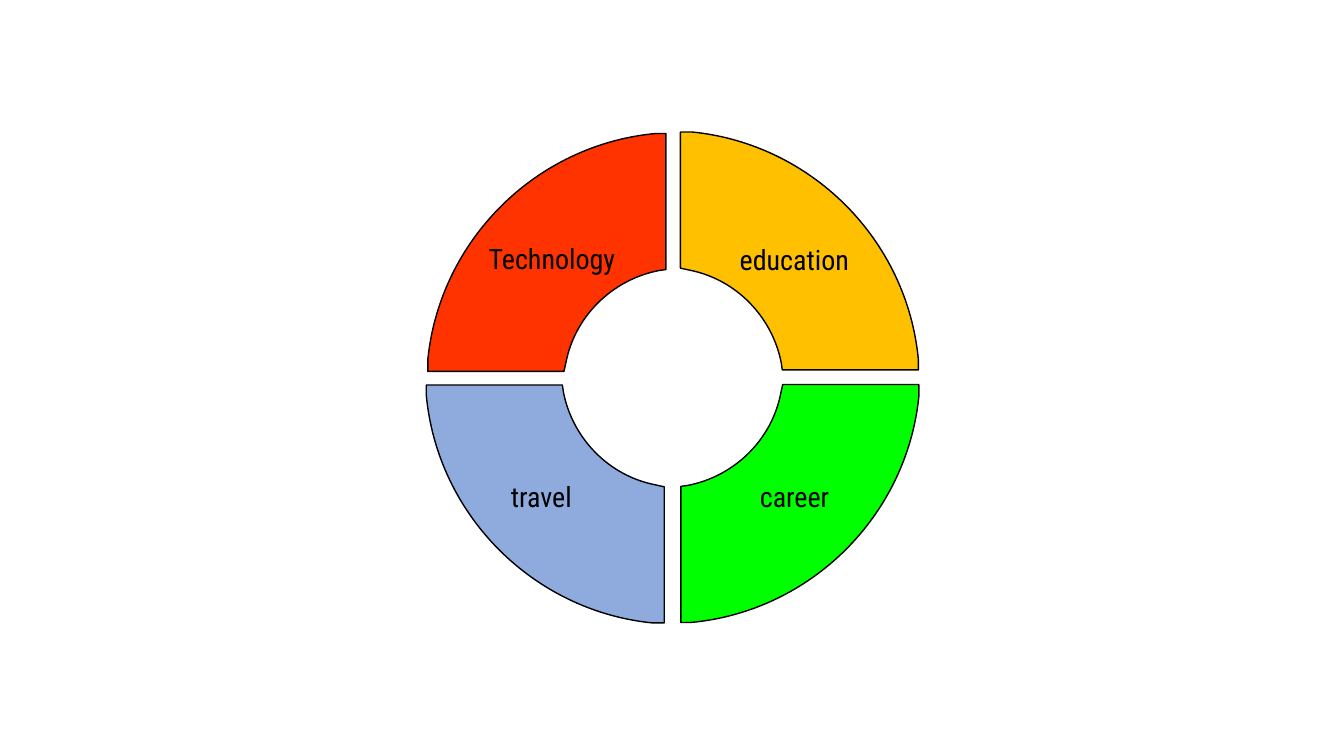
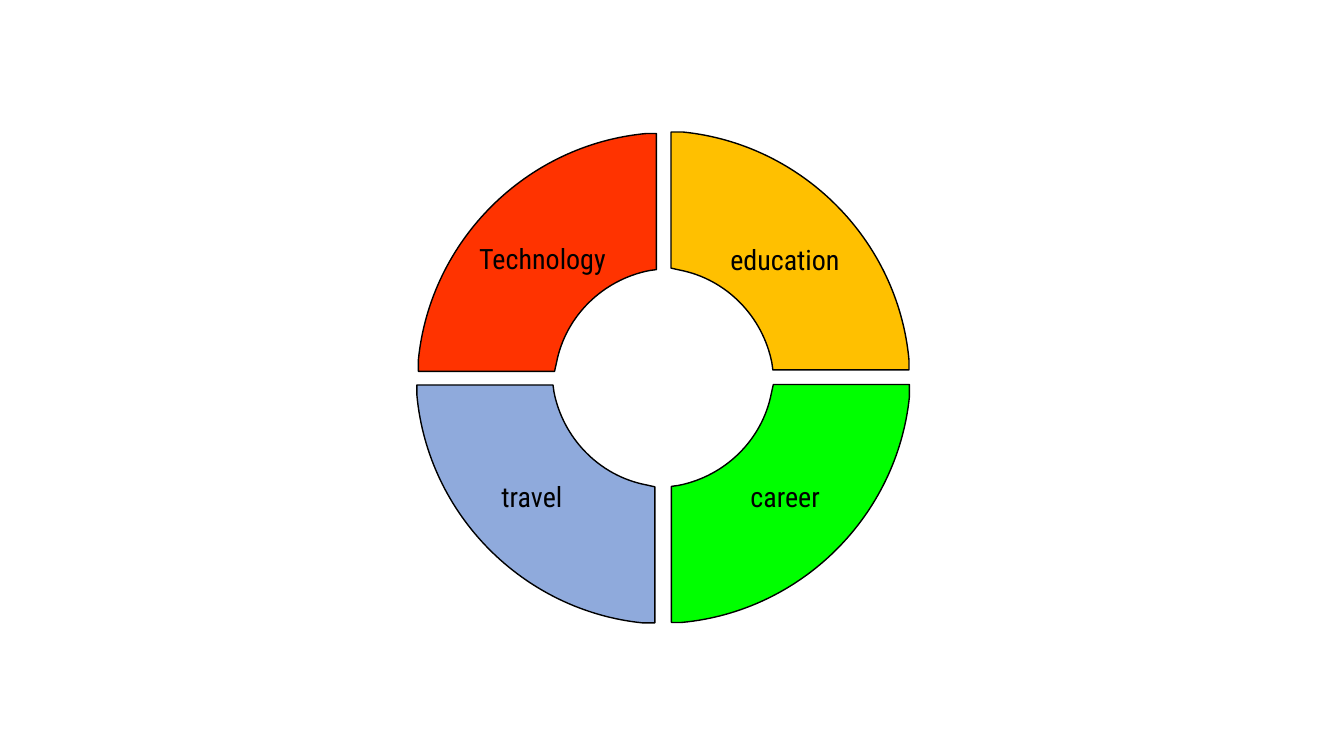
import lxml.etree
import pptx
import pptx.dml.color
import pptx.enum.shapes
import pptx.enum.text
import pptx.oxml.ns
import pptx.util

RGBColor = pptx.dml.color.RGBColor
BLACK = RGBColor(0x00, 0x00, 0x00)
RED = RGBColor(0xFF, 0x33, 0x00)
AMBER = RGBColor(0xFF, 0xC0, 0x00)
GREEN = RGBColor(0x00, 0xFF, 0x00)
BLUE = RGBColor(0x8F, 0xAA, 0xDC)
FONT = "Roboto Condensed"

presentation = pptx.Presentation()
presentation.slide_width = pptx.util.Inches(13.33)
presentation.slide_height = pptx.util.Inches(7.5)
BLANK_LAYOUT = presentation.slide_layouts[6]

# Grid of 750 rows down the slide; columns are as wide as rows are high
CELL = presentation.slide_height // 750
CENTRE_Y = presentation.slide_height // 2
LABEL_HEIGHT = 44

# Lower left quarter of the ring in cells; each arc is two handles and an end
QUARTER_START = (1, 14)
QUARTER_OUTLINE = [
    (136, 14), (137, 21),
    (146, 67), (182, 104), (228, 113),
    (237, 115), (237, 250), (225, 250),
    (107, 238), (12, 143), (1, 24),
]
ARC_STARTS = (2, 8)

# Label, colour, rotation, quarter left and top, label left, top and width;
# places are in cells from the ring centre
QUARTERS = [
    ("education", AMBER, 180, 7, -244, 56, -140, 137),
    ("career", GREEN, 270, 0, 0, 76, 96, 97),
    ("travel", BLUE, 0, -246, -7, -171, 96, 87),
    ("Technology", RED, 90, -237, -250, -193, -140, 153),
]


def add_quarter(shapes, left, top, rotation, colour):
    """One ring quarter, turned into place."""
    builder = shapes.build_freeform(*QUARTER_START, scale=CELL)
    builder.add_line_segments(QUARTER_OUTLINE, close=True)
    # The frame reaches up to the corner it shares with its neighbours
    builder.move_to(0, 0)
    builder.add_line_segments([(0, 0)], close=True)
    quarter = builder.convert_to_shape(left, top)

    # Turn the handles and end of each arc into one curve
    qualified = pptx.oxml.ns.qn
    lines = list(quarter.element.iter(qualified("a:lnTo")))
    for start in ARC_STARTS:
        curve = lxml.etree.Element(qualified("a:cubicBezTo"))
        lines[start].addprevious(curve)
        for line in lines[start:start + 3]:
            curve.append(line[0])
            line.getparent().remove(line)

    quarter.rotation = rotation
    quarter.shadow.inherit = False
    quarter.fill.solid()
    quarter.fill.fore_color.rgb = colour
    quarter.line.color.rgb = BLACK
    quarter.line.width = pptx.util.Pt(1)


def add_label(shapes, label, left, top, width):
    """Label of a quarter; the amber one is a filled rectangle."""
    place = (left, top, width * CELL, LABEL_HEIGHT * CELL)
    if label == "education":
        box = shapes.add_shape(pptx.enum.shapes.MSO_SHAPE.RECTANGLE, *place)
        box.shadow.inherit = False
        box.fill.solid()
        box.fill.fore_color.rgb = AMBER
        box.line.fill.background()
    else:
        box = shapes.add_textbox(*place)
    frame = box.text_frame
    frame.word_wrap = False
    frame.auto_size = pptx.enum.text.MSO_AUTO_SIZE.SHAPE_TO_FIT_TEXT
    paragraph = frame.paragraphs[0]
    paragraph.text = label
    paragraph.alignment = pptx.enum.text.PP_ALIGN.LEFT
    paragraph.font.name = FONT
    paragraph.font.size = pptx.util.Pt(20)
    paragraph.font.color.rgb = BLACK


# Each slide: ring centre as a share of the width, and the quarters back to front
for centre_share, quarters in [
    (0.501, QUARTERS),
    (0.494, QUARTERS[-1:] + QUARTERS[:-1]),
]:
    slide = presentation.slides.add_slide(BLANK_LAYOUT)
    centre_x = round(centre_share * presentation.slide_width)
    for label, colour, rotation, left, top, label_left, label_top, width in quarters:
        group = slide.shapes.add_group_shape()
        add_quarter(group.shapes, centre_x + left * CELL, CENTRE_Y + top * CELL,
                    rotation, colour)
        add_label(group.shapes, label, centre_x + label_left * CELL,
                  CENTRE_Y + label_top * CELL, width)

presentation.save("out.pptx")
